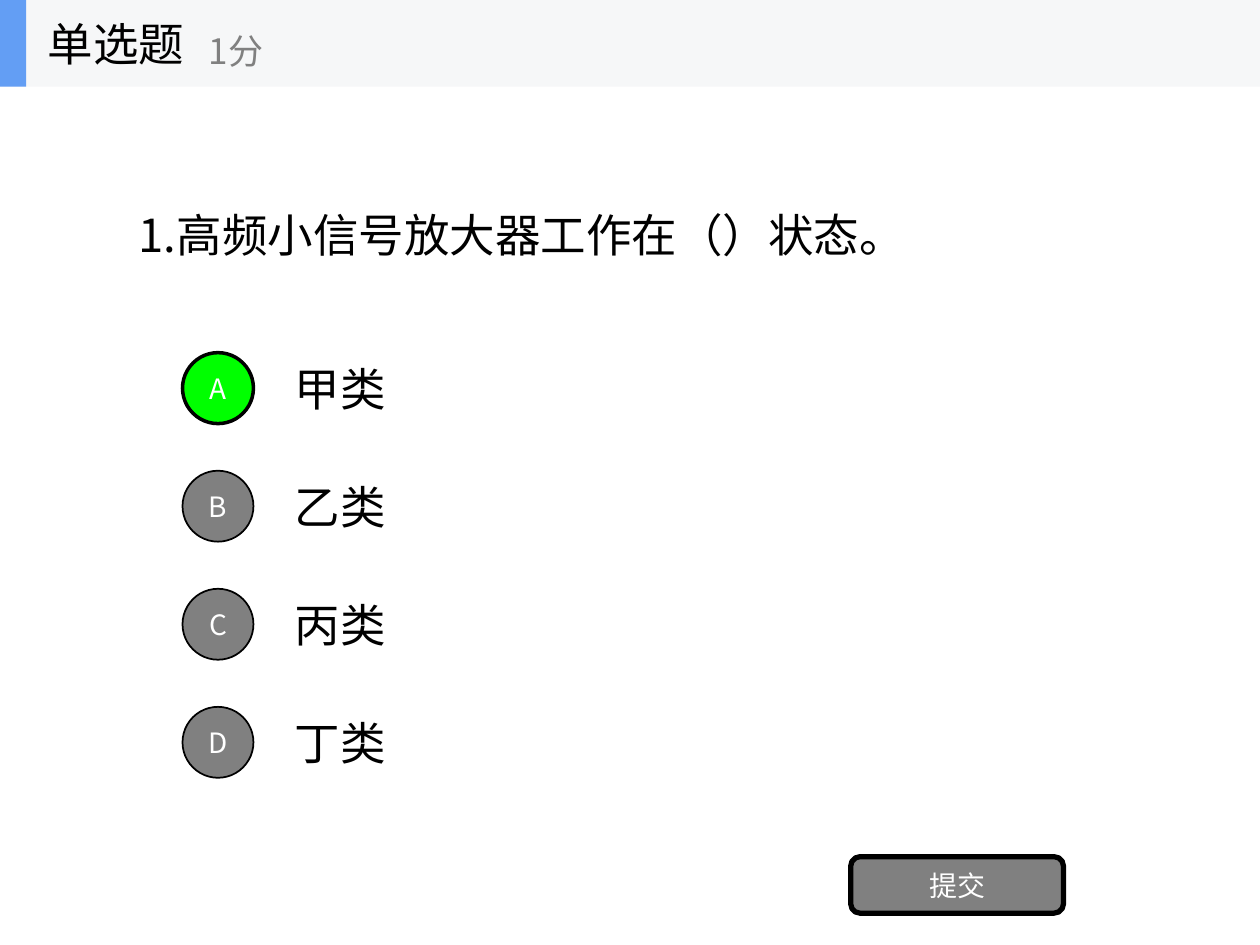
from dataclasses import dataclass

from lxml.etree import SubElement
from pptx import Presentation
from pptx.dml.color import RGBColor
from pptx.enum.shapes import MSO_SHAPE as Preset
from pptx.enum.text import MSO_ANCHOR as Anchor, MSO_AUTO_SIZE as AutoSize, PP_ALIGN as Align
from pptx.oxml.ns import qn
from pptx.util import Cm, Pt


@dataclass(frozen=True)
class Theme:
    font: str = "Noto Sans CJK SC"
    black: str = "000000"
    white: str = "FFFFFF"
    gray: str = "808080"
    correct: str = "00FF00"
    band: str = "F6F7F8"
    accent: str = "639EF4"
    body_size: int = 26
    score_size: int = 20
    button_size: int = 16


class QuizSlide:
    def __init__(self, presentation, theme):
        self.theme = theme
        self.slide = presentation.slides.add_slide(presentation.slide_layouts[5])
        self.shapes = self.slide.shapes

    def set_text(self, shape, text, size, color, align=Align.LEFT):
        text_frame = shape.text_frame
        text_frame.text = text
        text_frame.word_wrap = True
        text_frame.auto_size = AutoSize.NONE
        text_frame.vertical_anchor = Anchor.MIDDLE
        paragraph = text_frame.paragraphs[0]
        paragraph.alignment = align
        for run in paragraph.runs:
            run.font.size = Pt(size)
            run.font.color.rgb = RGBColor.from_string(color)
            run.font.name = self.theme.font
            SubElement(run._r.get_or_add_rPr(), qn("a:ea"), typeface=self.theme.font)

    def title(self, text, left, top, width, height):
        shape = self.shapes.title
        shape.left, shape.top = Cm(left), Cm(top)
        shape.width, shape.height = Cm(width), Cm(height)
        self.set_text(shape, text, self.theme.body_size, self.theme.black)

    def label(self, shapes, text, left, top, width, height, size, color):
        shape = shapes.add_textbox(Cm(left), Cm(top), Cm(width), Cm(height))
        self.set_text(shape, text, size, color)

    def block(self, shapes, preset, left, top, width, height, fill):
        shape = shapes.add_shape(preset, Cm(left), Cm(top), Cm(width), Cm(height))
        shape.shadow.inherit = False
        shape.fill.solid()
        shape.fill.fore_color.rgb = RGBColor.from_string(fill)
        shape.line.fill.background()
        return shape

    def button(self, preset, text, left, top, width, height, fill, line_width):
        shape = self.block(self.shapes, preset, left, top, width, height, fill)
        shape.line.color.rgb = RGBColor.from_string(self.theme.black)
        shape.line.width = Pt(line_width)
        text_frame = shape.text_frame
        text_frame.margin_left = text_frame.margin_right = 0
        text_frame.margin_top = text_frame.margin_bottom = 0
        self.set_text(shape, text, self.theme.button_size, self.theme.white, Align.CENTER)

    def options(self, answers, correct, top, step):
        theme = self.theme
        for index, answer in enumerate(answers.values()):
            self.label(self.shapes, answer, 5.69, top - 0.18 + index * step, 17.78, 1.78,
                       theme.body_size, theme.black)
        for index, letter in enumerate(answers):
            chosen = letter == correct
            self.button(Preset.OVAL, letter, 3.68, top + index * step, 1.43, 1.43,
                        theme.correct if chosen else theme.gray, 2 if chosen else 1)

    def header(self, kind, score):
        theme = self.theme
        shapes = self.shapes.add_group_shape().shapes
        self.block(shapes, Preset.RECTANGLE, 0, 0, 25.4, 1.75, theme.band)
        self.block(shapes, Preset.RECTANGLE, 0, 0, 0.53, 1.75, theme.accent)
        self.label(shapes, kind, 0.71, 0, 5.28, 1.75, theme.body_size, theme.black)
        self.label(shapes, score, 3.96, 0.3, 6.35, 1.42, theme.score_size, theme.gray)


def main():
    presentation = Presentation()
    presentation.slide_width, presentation.slide_height = Cm(25.4), Cm(19.05)
    theme = Theme()
    quiz = QuizSlide(presentation, theme)
    quiz.title("1.高频小信号放大器工作在（）状态。", 2.54, 1.75, 20.32, 5.94)
    answers = {"A": "甲类", "B": "乙类", "C": "丙类", "D": "丁类"}
    quiz.options(answers, correct="A", top=7.11, step=2.38)
    quiz.button(Preset.ROUNDED_RECTANGLE, "提交", 17.15, 17.27, 4.29, 1.14, theme.gray, 3)
    quiz.header("单选题", "1分")
    presentation.save("out.pptx")


if __name__ == "__main__":
    main()
